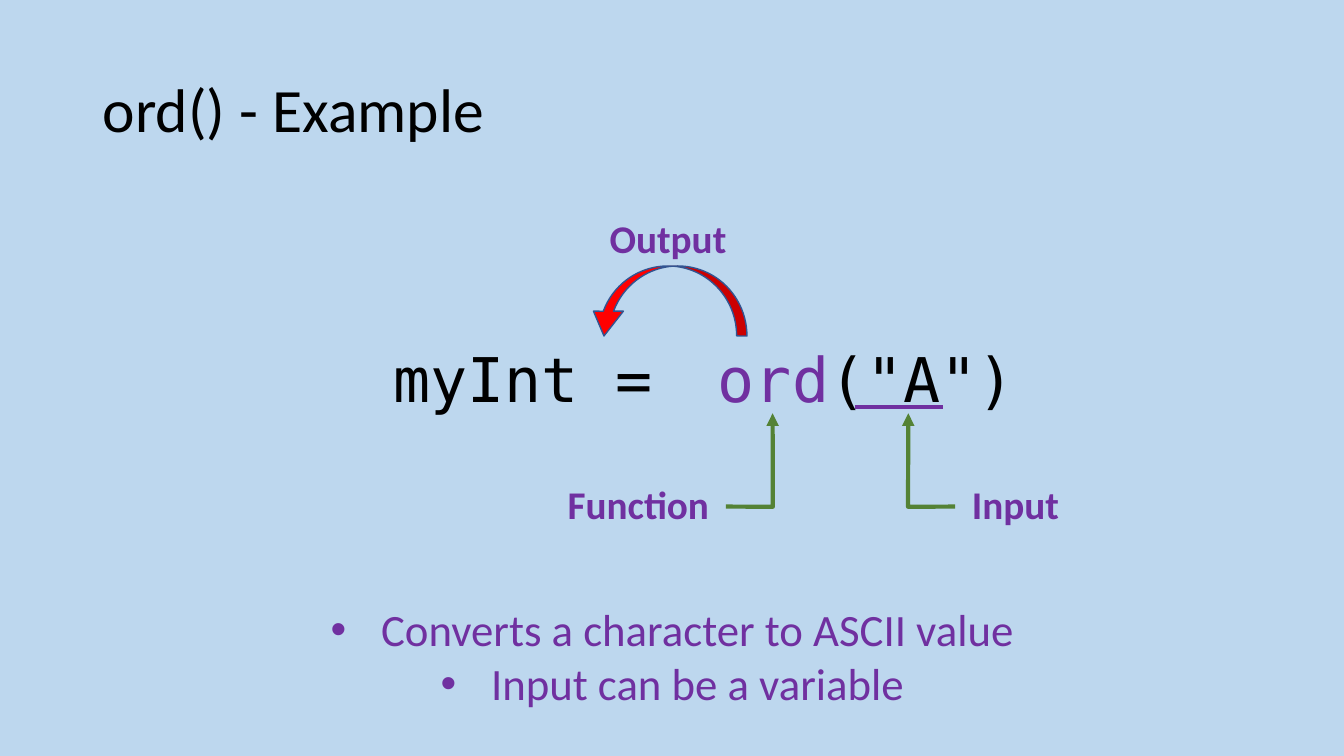
from pptx import Presentation
from pptx.dml.color import RGBColor
from pptx.enum.shapes import MSO_CONNECTOR, MSO_SHAPE
from pptx.enum.text import MSO_ANCHOR, PP_ALIGN
from pptx.oxml.ns import qn
from pptx.util import Emu, Pt
from lxml.etree import SubElement

COLORS = {
    "background": "BDD7EE", "black": "000000", "purple": "7030A0",
    "green": "548235", "red": "FF0000", "outline": "325491",
}
COLORS = {name: RGBColor.from_string(value) for name, value in COLORS.items()}
PX = 12192000 / 1344
BODY, CODE = "Calibri", "DejaVu Sans Mono"


def place(*lengths):
    return [Emu(round(length * PX)) for length in lengths]


def write(shape, lines, size, font, color, align=PP_ALIGN.LEFT, bold=False,
          wrap=True, anchor=MSO_ANCHOR.TOP):
    frame = shape.text_frame
    frame.text = lines
    frame.word_wrap = wrap
    frame.vertical_anchor = anchor
    for para in frame.paragraphs:
        para.alignment = align
        for span in para.runs:
            span.font.size = Pt(size)
            span.font.name = font
            span.font.bold = bold
            span.font.color.rgb = color
    return frame


deck = Presentation()
deck.slide_width, deck.slide_height = place(1344, 756)
page = deck.slides.add_slide(deck.slide_layouts[6])
page.background.fill.solid()
page.background.fill.fore_color.rgb = COLORS["background"]
shapes = page.shapes

# Title
box = shapes.add_textbox(*place(93, 40, 1159, 146))
frame = write(box, "ord() - Example", 44, BODY, COLORS["black"],
              anchor=MSO_ANCHOR.MIDDLE)
frame.paragraphs[0].line_spacing = 0.9

# Code statement: assignment on the left, call on the right
box = shapes.add_textbox(*place(311, 336, 389, 85))
write(box, "myInt = ", 44, CODE, COLORS["black"], PP_ALIGN.RIGHT)

box = shapes.add_textbox(*place(708, 336, 435, 85))
frame = write(box, "ord", 44, CODE, COLORS["purple"])
span = frame.paragraphs[0].add_run()
span.text = '("A")'
span.font.size = Pt(44)
span.font.name = CODE
span.font.color.rgb = COLORS["black"]

# Callouts pointing up at the function and its input
for label, left, flipped in (("Function", 452, True), ("Input", 962, False)):
    callout = shapes.add_shape(MSO_SHAPE.LINE_CALLOUT_2_NO_BORDER,
                               *place(left, 456, 267, 95))
    callout.shadow.inherit = False
    for index, value in enumerate((0.533, -0.026, 0.535, -0.202, -0.449, -0.201)):
        callout.adjustments[index] = value
    callout.fill.background()
    callout.line.color.rgb = COLORS["green"]
    callout.line.width = Pt(3)
    properties = callout.element.spPr
    SubElement(properties.find(qn("a:ln")), qn("a:tailEnd"), type="triangle")
    if flipped:
        properties.find(qn("a:xfrm")).set("flipH", "1")
    write(callout, label, 28, BODY, COLORS["purple"],
          PP_ALIGN.RIGHT if flipped else PP_ALIGN.LEFT, bold=True,
          anchor=MSO_ANCHOR.MIDDLE)

# Output arrow and its label
arrow = shapes.add_shape(MSO_SHAPE.CURVED_DOWN_ARROW, *place(589, 266, 158, 70))
arrow.shadow.inherit = False
for index, value in enumerate((0.147, 0.428, 0.354)):
    arrow.adjustments[index] = value
arrow.element.spPr.find(qn("a:xfrm")).set("flipH", "1")
arrow.fill.solid()
arrow.fill.fore_color.rgb = COLORS["red"]
arrow.line.color.rgb = COLORS["outline"]
arrow.line.width = Pt(1)

box = shapes.add_textbox(*place(599, 209, 138, 57))
write(box, "Output", 28, BODY, COLORS["purple"], PP_ALIGN.CENTER, bold=True,
      wrap=False)

# Explanation bullets
box = shapes.add_textbox(*place(317, 597, 711, 119))
frame = write(box, "Converts a character to ASCII value\nInput can be a variable",
              32, BODY, COLORS["purple"], PP_ALIGN.CENTER, wrap=False)
for para in frame.paragraphs:
    properties = para._p.get_or_add_pPr()
    properties.set("marL", "457200")
    properties.set("indent", "-457200")
    SubElement(properties, qn("a:buFont"), typeface="Arial")
    SubElement(properties, qn("a:buChar"), char="•")

# Underline beneath the input
underline = shapes.add_connector(MSO_CONNECTOR.STRAIGHT, *place(855, 407, 943, 407))
underline.line.color.rgb = COLORS["purple"]
underline.line.width = Pt(3)
SubElement(underline.element.spPr, qn("a:effectLst"))

deck.save("out.pptx")
